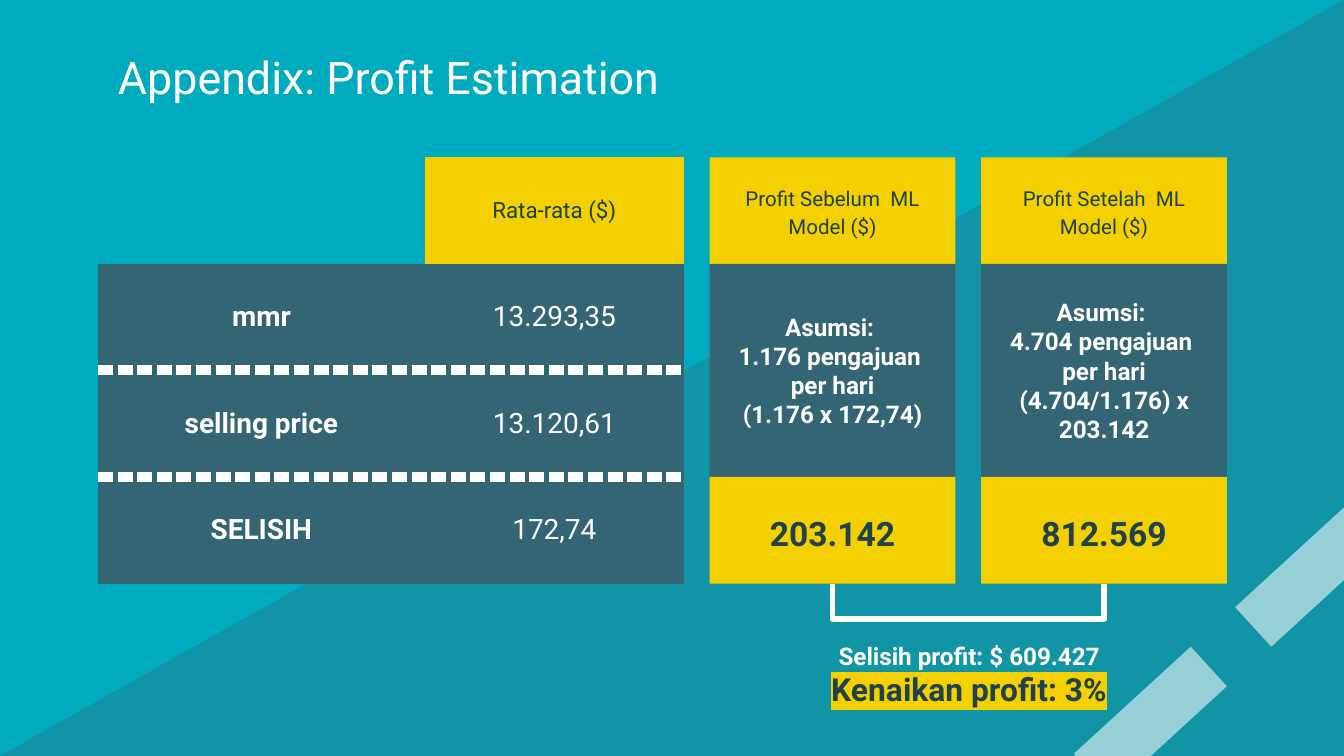
from lxml.etree import SubElement
from pptx import Presentation
from pptx.dml.color import RGBColor
from pptx.enum.shapes import MSO_SHAPE as SHAPE
from pptx.enum.text import MSO_ANCHOR as ANCHOR, PP_ALIGN as ALIGN
from pptx.oxml import parse_xml
from pptx.oxml.ns import nsdecls, qn
from pptx.util import Inches, Pt

COLORS = dict(sky="00ABBF", slate="336574", yellow="F4D000", ink="1F424C", white="FFFFFF")

deck = Presentation()
deck.slide_width = Inches(10)
deck.slide_height = Inches(10) * 9 // 16
W, H = deck.slide_width, deck.slide_height
slide = deck.slides.add_slide(deck.slide_layouts[6])
slide.background.fill.solid()
slide.background.fill.fore_color.rgb = RGBColor.from_string(COLORS["sky"])

# Grid, as shares of the slide
ROW = int(H * 0.141)
TOP = int(H * 0.208)
TABLE_LEFT, TABLE_COLS = int(W * 0.073), (int(W * 0.243), int(W * 0.193))
CARD_LEFT, CARD_WIDTH, CARD_PITCH = int(W * 0.528), int(W * 0.183), int(W * 0.202)
PAD = Inches(0.1)


def write(frame, text, size, color="white", bold=False, align=ALIGN.CENTER,
          anchor=ANCHOR.MIDDLE, spacing=None, highlight=None):
    """Append one paragraph per line of text to a text frame."""
    frame.word_wrap = True
    frame.vertical_anchor = anchor
    frame.margin_left = frame.margin_right = frame.margin_top = frame.margin_bottom = PAD
    for line in text.split("\n"):
        paragraph = frame.paragraphs[0]
        if paragraph.runs:
            paragraph = frame.add_paragraph()
        paragraph.alignment = align
        if spacing:
            paragraph.line_spacing = spacing
        run = paragraph.add_run()
        run.text = line
        font = run.font
        font.name, font.size, font.bold = "Roboto", Pt(size), bold
        font.color.rgb = RGBColor.from_string(COLORS[color])
        if highlight:
            run._r.rPr.find(qn("a:solidFill")).addnext(parse_xml(
                f'<a:highlight {nsdecls("a")}><a:srgbClr val="{COLORS[highlight]}"/></a:highlight>'))


def block(kind, left, top, width, height, color, opacity=100):
    """Add a filled shape without outline or shadow."""
    shape = slide.shapes.add_shape(kind, int(left), int(top), int(width), int(height))
    shape.shadow.inherit = False
    shape.line.fill.background()
    shape.fill.solid()
    shape.fill.fore_color.rgb = RGBColor.from_string(COLORS[color])
    if opacity < 100:
        tint = shape._element.spPr.find(qn("a:solidFill"))[0]
        SubElement(tint, qn("a:alpha"), val=str(opacity * 1000))
    return shape


# Backdrop: dark diagonal and two slanted stripes
diagonal = block(SHAPE.RIGHT_TRIANGLE, 0, 0, W, H, "slate", 32)
diagonal._element.spPr.xfrm.set("flipH", "1")
for left, top in ((0.797, 0.917), (0.917, 0.723)):
    stripe = block(SHAPE.RECTANGLE, W * left, H * top, W * 0.118, H * 0.071, "white", 56)
    stripe.rotation = 317.5

# Title
title = slide.shapes.add_textbox(int(W * 0.078), int(H * 0.046), int(W * 0.844), int(H * 0.112))
write(title.text_frame, "Appendix: Profit Estimation", 24, align=ALIGN.LEFT)

# Price table
prices = (
    ("", "Rata-rata ($)"),
    ("mmr", "13.293,35"),
    ("selling price", "13.120,61"),
    ("SELISIH", "172,74"),
)
price_table = slide.shapes.add_table(
    len(prices), 2, TABLE_LEFT, TOP, sum(TABLE_COLS), ROW * len(prices)).table
price_table.first_row = price_table.horz_banding = False
NO_STYLE = "{2D5ABB26-0587-4C30-8999-92F81FD0307C}"
price_table._tbl.tblPr.find(qn("a:tableStyleId")).text = NO_STYLE
for column, width in zip(price_table.columns, TABLE_COLS):
    column.width = width
for r, values in enumerate(prices):
    price_table.rows[r].height = ROW
    for c, value in enumerate(values):
        cell = price_table.cell(r, c)
        if not value:
            cell.fill.background()
            continue
        header = r == 0
        cell.vertical_anchor = ANCHOR.MIDDLE
        write(cell.text_frame, value, 12 if header else 15,
              color="ink" if header else "white", bold=c == 0)
        cell.margin_left = cell.margin_right = cell.margin_top = cell.margin_bottom = PAD
        # Dashed rules between the body rows
        sides = [side for side, shown in (("lnT", r > 1), ("lnB", r in (1, 2))) if shown]
        for side in sides:
            cell._tc.get_or_add_tcPr().append(parse_xml(
                f'<a:{side} {nsdecls("a")} w="{Pt(6)}"><a:solidFill>'
                f'<a:srgbClr val="{COLORS["white"]}"/></a:solidFill>'
                f'<a:prstDash val="dash"/></a:{side}>'))
        cell.fill.solid()
        cell.fill.fore_color.rgb = RGBColor.from_string(COLORS["yellow" if header else "slate"])

# Profit cards: heading, assumption, result
profits = (
    ("Profit Sebelum  ML Model ($)",
     "Asumsi: \n1.176 pengajuan \nper hari\n(1.176 x 172,74)", "203.142"),
    ("Profit Setelah  ML Model ($)",
     "Asumsi: \n4.704 pengajuan \nper hari\n(4.704/1.176) x 203.142", "812.569"),
)
for i, (heading, assumption, result) in enumerate(profits):
    parts = (
        (heading, 0, 1, "yellow", dict(size=11, color="ink", spacing=1.15)),
        (assumption, 1, 2, "slate", dict(size=13, bold=True)),
        (result, 3, 1, "yellow", dict(size=18, color="ink", bold=True, spacing=1.15)),
    )
    for text, row, span, fill, style in parts:
        card = block(SHAPE.RECTANGLE, CARD_LEFT + i * CARD_PITCH, TOP + row * ROW,
                     CARD_WIDTH, span * ROW, fill)
        write(card.text_frame, text, **style)

# Bracket joining the two results
start, end = (CARD_LEFT + CARD_WIDTH // 2 + i * CARD_PITCH for i in (0, 1))
bottom = TOP + 4 * ROW
drop = bottom + ROW // 3
outline = slide.shapes.build_freeform(start, bottom)
outline.add_line_segments([(start, drop), (end, drop), (end, bottom)], close=False)
bracket = outline.convert_to_shape()
bracket.shadow.inherit = False
bracket.fill.background()
bracket.line.width = Pt(3)
bracket.line.color.rgb = RGBColor.from_string(COLORS["white"])

# Profit difference
gain = slide.shapes.add_textbox(int(W * 0.557), int(H * 0.83), int(W * 0.328), int(H * 0.126))
write(gain.text_frame, "Selisih profit: $ 609.427", 13, bold=True, anchor=ANCHOR.TOP)
write(gain.text_frame, "Kenaikan profit: 3%", 17, color="ink", bold=True,
      anchor=ANCHOR.TOP, highlight="yellow")

deck.save("out.pptx")
